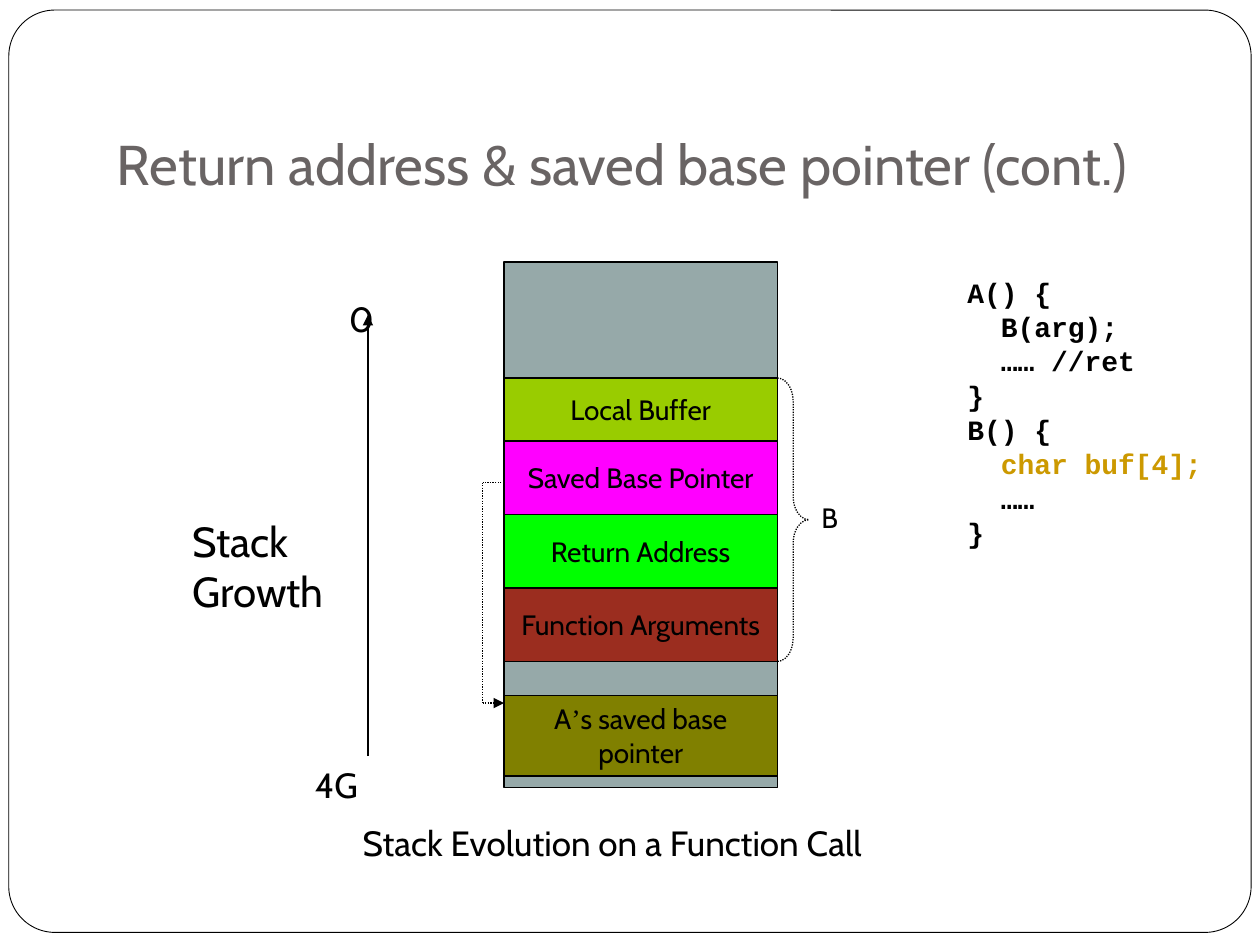
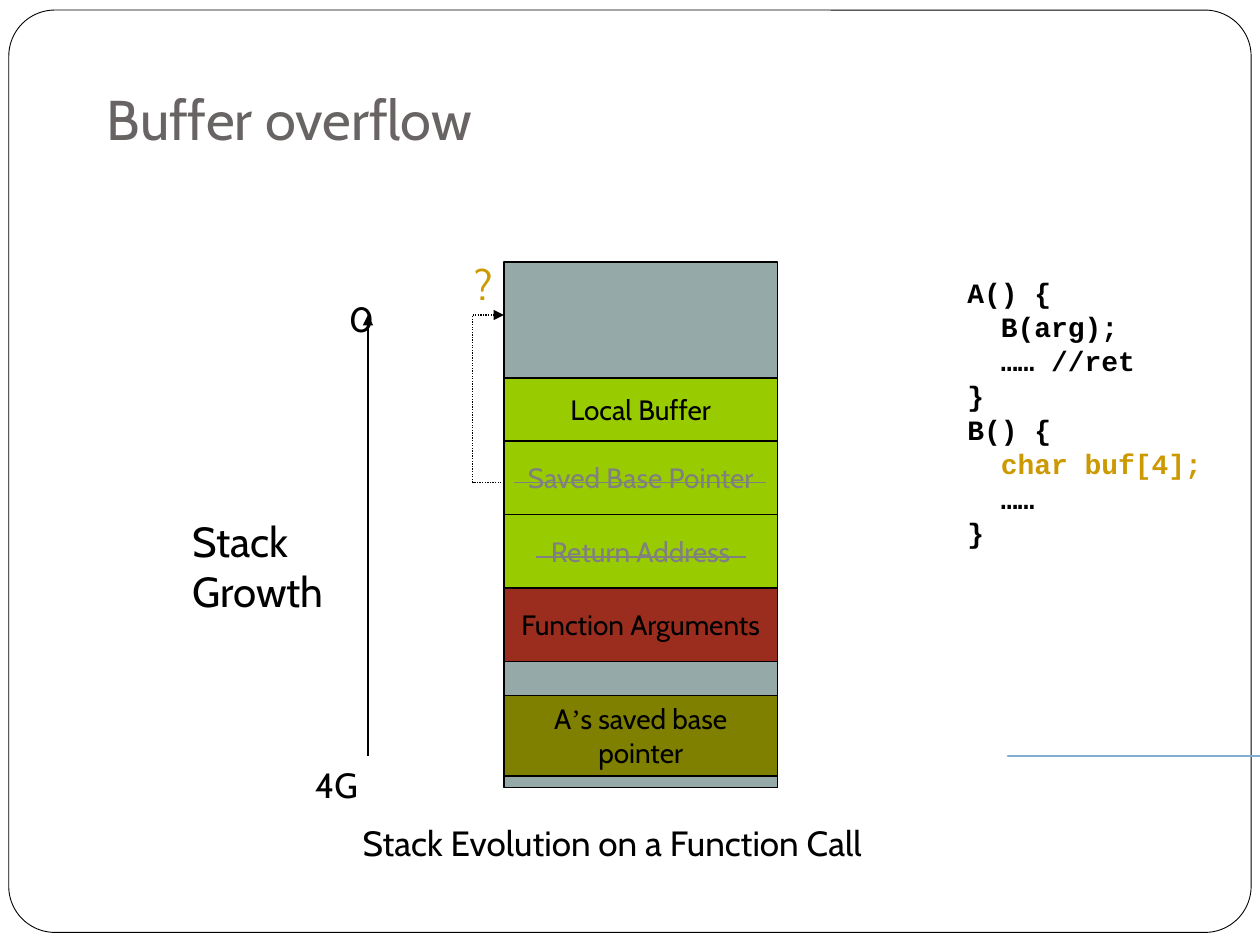
from itertools import pairwise
from lxml.etree import SubElement
from pptx import Presentation
from pptx.dml.color import RGBColor
from pptx.enum.dml import MSO_LINE
from pptx.enum.shapes import MSO_CONNECTOR, MSO_SHAPE
from pptx.enum.text import MSO_ANCHOR, PP_ALIGN
from pptx.oxml.ns import qn
from pptx.util import Inches, Pt

BLACK, WHITE, GREY, GOLD = "000000", "FFFFFF", "808080", "CC9900"
TITLE, EMPTY, BUFFER, INK = "696464", "96A9A9", "99CC00", "82ACD0"
STACK_X, STACK_W, STACK_Y, STACK_H = 4, 2.17, 2.08, 4.17
FRAME_Y, BUFFER_H, ROW_H = 3, 0.5, 1.75 / 3

CODE = [
    ["A() {"],
    ["  B(arg);"],
    ["  …… //ret"],
    ["}"],
    ["B() {"],
    ["  ", ("char buf[4];", {"color": GOLD})],
    ["  ……"],
    ["}"],
]
CALLER_POINTER = ["A", ("’", {"name": "Times New Roman"}), "s saved base pointer"]
LABELS = [  # box, paragraphs, format
    ((2.78, 6.47, 4.58, 0.44), [["Stack Evolution on a Function Call"]], {"size": 20}),
    ((1.83, 6.01, 2.08, 0.44), [["4G"]], {"size": 20, "indent": 0.57}),
    ((2.67, 2.31, 0.43, 0.44), [["0"]], {"size": 20}),
    ((1.43, 4.04, 1.37, 0.9), [["Stack"], ["Growth"]], {"size": 24}),
    ((7.58, 2.25, 2.1, 2.14), CODE,
     {"name": "Courier New", "bold": True, "spacing": 0.5, "before": 10}),
]
GROWTH = [(2.92, 6), (2.92, 2.5)]

SLIDES = [
    {
        "title": "Return address & saved base pointer (cont.)",
        "title_at": (0.83, 0.36),
        "frame": [  # label, fill, text colour
            ("Local Buffer", BUFFER, BLACK),
            ("Saved Base Pointer", "FF00FF", BLACK),
            ("Return Address", "00FF00", BLACK),
            ("Function Arguments", "9B2D1F", BLACK),
        ],
        "pointer": [(4, 3.83), (3.83, 3.83), (3.83, 5.58), (4, 5.58)],
        "note": ((6.42, 3.92, 0.33, 0.37), "B", {}),
        "brace": True,
        "strikes": [],
        "ink": [],
    },
    {
        "title": "Buffer overflow",
        "title_at": (0.75, 0),
        "frame": [
            ("Local Buffer", BUFFER, BLACK),
            ("Saved Base Pointer", BUFFER, GREY),
            ("Return Address", BUFFER, GREY),
            ("Function Arguments", "9B2D1F", BLACK),
        ],
        "pointer": [(4, 3.83), (3.75, 3.83), (3.75, 2.5), (4, 2.5)],
        "note": ((3.67, 2, 0.42, 0.5), "?", {"size": 24, "color": GOLD}),
        "brace": False,
        "strikes": [[(4.08, 3.83), (6.08, 3.83)], [(4.25, 4.42), (5.92, 4.42)]],
        "ink": [
            (9.6, 6.38), (9.51, 6.37), (9.4, 6.35), (9.15, 6.36), (8.71, 6.35),
            (8.57, 6.33), (8.46, 6.3), (8.36, 6.25), (8.28, 6.19), (8.25, 6.1),
            (8.25, 6.01), (8.3, 5.92), (8.41, 5.83), (8.51, 5.78), (8.62, 5.74),
            (8.72, 5.72), (8.83, 5.71), (9.07, 5.7), (9.31, 5.72), (9.52, 5.75),
            (9.72, 5.79), (9.91, 5.84), (10.08, 5.91), (10.25, 5.99), (10.34, 6.05),
            (10.41, 6.13), (10.42, 6.2), (10.36, 6.27), (10.24, 6.33), (10.1, 6.39),
            (9.99, 6.42), (9.91, 6.41),
        ],
    },
]


def rgb(hex_color):
    return RGBColor.from_string(hex_color)


def style(shape, fill=None, line=BLACK, width=0.75):
    shape.shadow.inherit = False
    if fill:
        shape.fill.solid()
        shape.fill.fore_color.rgb = rgb(fill)
    else:
        shape.fill.background()
    shape.line.color.rgb = rgb(line)
    shape.line.width = Pt(width)
    return shape


def add_box(s, box, fill, kind=MSO_SHAPE.RECTANGLE, width=0.75):
    return style(s.shapes.add_shape(kind, *map(Inches, box)), fill, width=width)


def write(shape, paragraphs, anchor=MSO_ANCHOR.TOP, align=PP_ALIGN.LEFT,
          spacing=None, before=0, indent=0, **font):
    """Fill a shape with paragraphs, each a list of strings or (string, font) pairs."""
    tf = shape.text_frame
    tf.word_wrap = True
    tf.vertical_anchor = anchor
    for i, runs in enumerate(paragraphs):
        p = tf.add_paragraph() if i else tf.paragraphs[0]
        p.alignment = align
        p.line_spacing = spacing
        p.space_before = Pt(before if i else 0)
        if indent:
            p._p.get_or_add_pPr().set("marL", str(Inches(indent)))
        for run in runs:
            text, own = (run, {}) if isinstance(run, str) else run
            r = p.add_run()
            r.text = text
            look = {"name": "Cabin", "size": 16, "color": BLACK} | font | own
            r.font.color.rgb = rgb(look.pop("color"))
            look["size"] = Pt(look["size"])
            for key, value in look.items():
                setattr(r.font, key, value)


def add_text(s, box, paragraphs, **fmt):
    write(s.shapes.add_textbox(*map(Inches, box)), paragraphs, **fmt)


def add_lines(s, points, color=BLACK, dash=None, arrow=False):
    """Join the points with straight connectors; the arrowhead is at the last point."""
    for start, end in pairwise(points):
        c = s.shapes.add_connector(MSO_CONNECTOR.STRAIGHT, *map(Inches, start + end))
        c.line.color.rgb = rgb(color)
        c.line.width = Pt(0.75)
        if dash:
            c.line.dash_style = dash
        if arrow and end == points[-1]:
            SubElement(c.line._get_or_add_ln(), qn("a:tailEnd"), type="triangle")
        SubElement(c._element.spPr, qn("a:effectLst"))


def add_stack(s, frame):
    add_box(s, (STACK_X, STACK_Y, STACK_W, STACK_H), EMPTY)
    y = FRAME_Y
    for i, (label, fill, color) in enumerate(frame):
        h = ROW_H if i else BUFFER_H
        cell = add_box(s, (STACK_X, y, STACK_W, h), fill)
        write(cell, [[label]], MSO_ANCHOR.MIDDLE, PP_ALIGN.CENTER, color=color)
        y += h
    caller = add_box(s, (STACK_X, 5.52, STACK_W, 0.64), "808000")
    write(caller, [CALLER_POINTER], align=PP_ALIGN.CENTER)


def add_brace(s):
    box = (STACK_X + STACK_W, FRAME_Y, 0.25, BUFFER_H + 3 * ROW_H)
    brace = add_box(s, box, None, MSO_SHAPE.RIGHT_BRACE)
    brace.adjustments[0] = 0.75
    brace.line.dash_style = MSO_LINE.ROUND_DOT


def add_ink(s, points):
    fb = s.shapes.build_freeform(*points[0], scale=Inches(1))
    fb.add_line_segments(points[1:], close=False)
    style(fb.convert_to_shape(), line=INK, width=1.5)


def add_slide(prs, data):
    s = prs.slides.add_slide(prs.slide_layouts[6])
    border = add_box(s, (0.07, 0.08, 9.86, 7.32), WHITE, MSO_SHAPE.ROUNDED_RECTANGLE, 0.5)
    border.adjustments[0] = 0.05
    add_stack(s, data["frame"])
    add_lines(s, GROWTH, arrow=True)
    for box, paragraphs, fmt in LABELS:
        add_text(s, box, paragraphs, **fmt)
    add_text(s, data["title_at"] + (8.52, 1.25), [[data["title"]]],
             anchor=MSO_ANCHOR.BOTTOM, size=32, color=TITLE)
    for strike in data["strikes"]:
        add_lines(s, strike, GREY)
    add_lines(s, data["pointer"], dash=MSO_LINE.ROUND_DOT, arrow=True)
    box, text, fmt = data["note"]
    add_text(s, box, [[text]], **fmt)
    if data["brace"]:
        add_brace(s)
    if data["ink"]:
        add_ink(s, data["ink"])


def main():
    prs = Presentation()
    prs.slide_width, prs.slide_height = Inches(10), Inches(7.5)
    for data in SLIDES:
        add_slide(prs, data)
    prs.save("out.pptx")


if __name__ == "__main__":
    main()
